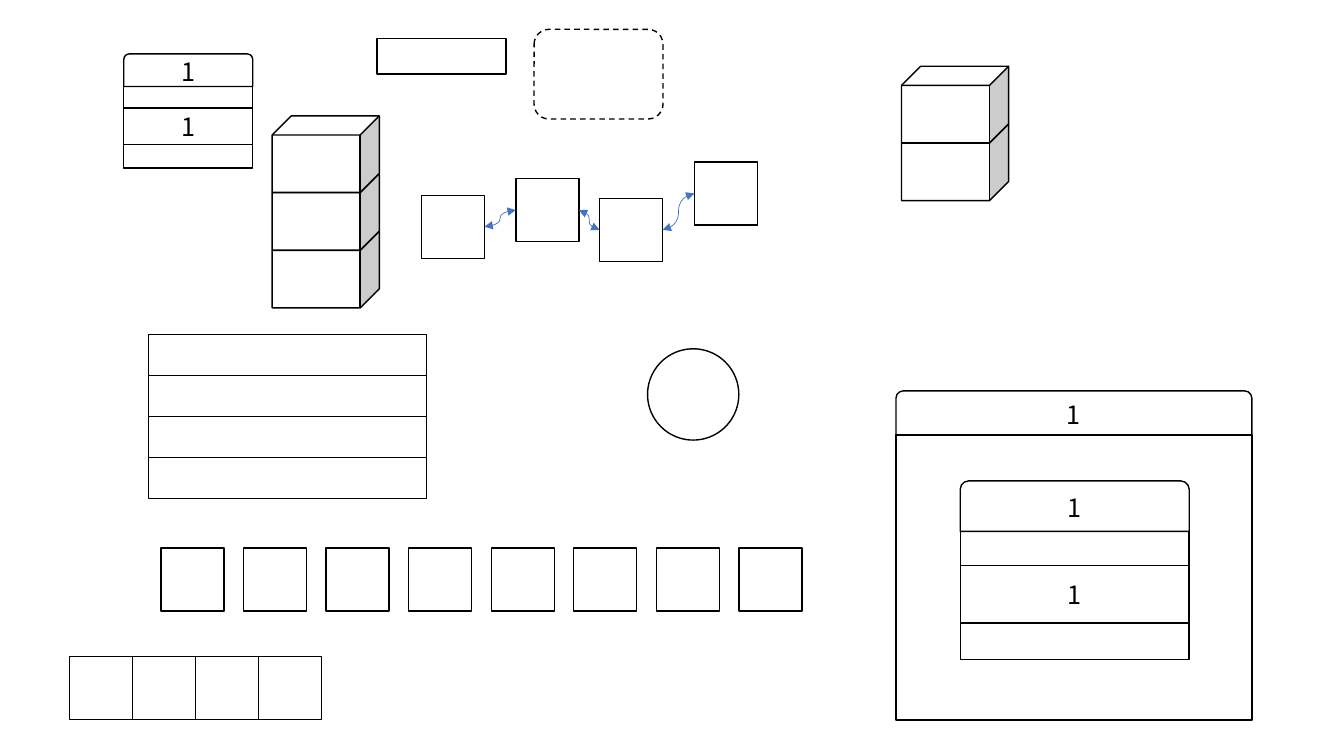
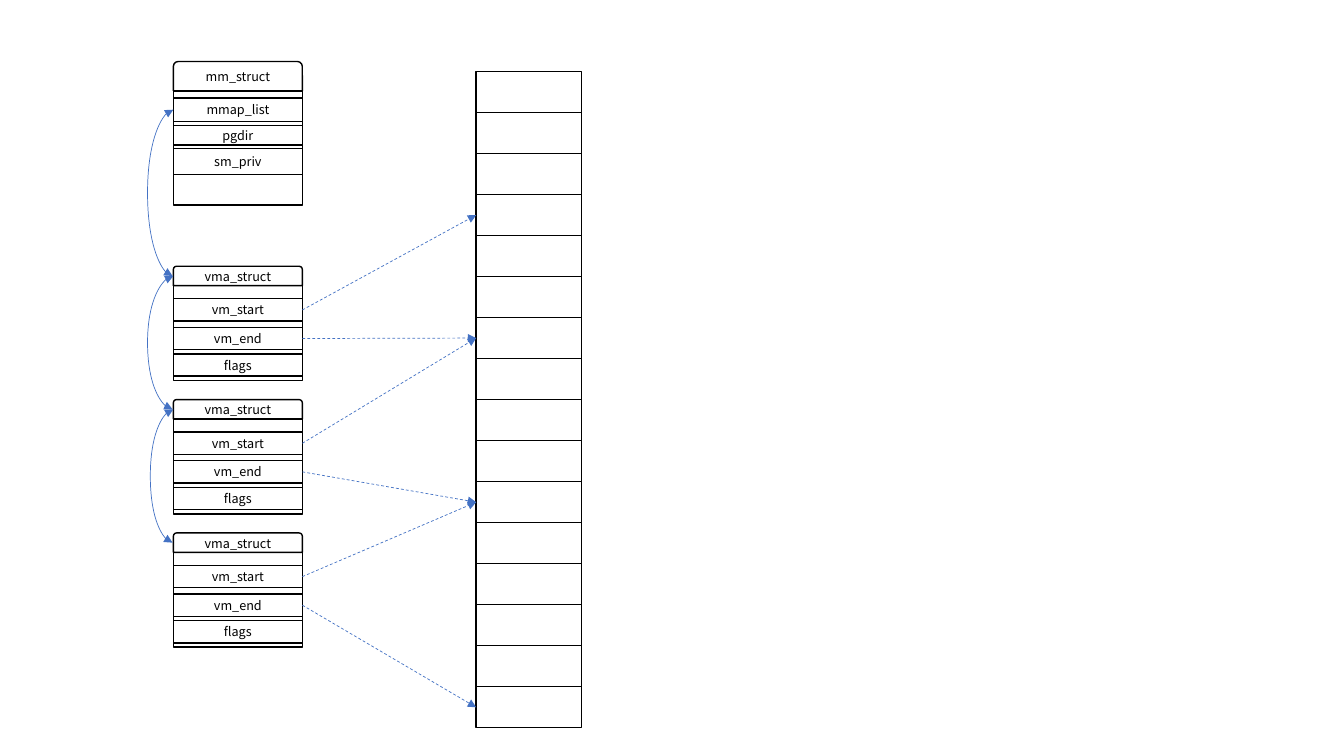
from dataclasses import dataclass

from lxml import etree
from pptx import Presentation
from pptx import util as u
from pptx.dml.color import RGBColor
from pptx.enum import dml, shapes, text
from pptx.oxml import ns

SHAPE = shapes.MSO_SHAPE
CONNECTOR = shapes.MSO_CONNECTOR


@dataclass(frozen=True)
class Theme:
    """Colours, font, type sizes and line widths shared by the slides."""
    ink: RGBColor = RGBColor(0, 0, 0)
    paper: RGBColor = RGBColor(255, 255, 255)
    accent: RGBColor = RGBColor(0x44, 0x72, 0xC4)
    font: str = "Noto Sans CJK SC"
    large: int = 18
    small: int = 9
    outline: float = 1
    link: float = 0.5


class Diagram:
    """Draws diagram elements, measured in centimetres, on the current slide."""

    def __init__(self, presentation, theme):
        self.presentation = presentation
        self.theme = theme
        self.slide = None

    def new_slide(self):
        """Add a blank slide and make it current."""
        self.slide = self.presentation.slides.add_slide(self.presentation.slide_layouts[6])

    def group(self):
        """Add an empty group and return its shapes."""
        return self.slide.shapes.add_group_shape().shapes

    def box(self, left, top, width, height, kind=SHAPE.RECTANGLE, parent=None,
            label="", size=None, filled=False, dashed=False):
        """Add an outlined shape with an optional centred label."""
        parent = self.slide.shapes if parent is None else parent
        shape = parent.add_shape(kind, u.Cm(left), u.Cm(top), u.Cm(width), u.Cm(height))
        shape.shadow.inherit = False
        if filled:
            shape.fill.solid()
            shape.fill.fore_color.rgb = self.theme.paper
        else:
            shape.fill.background()
        shape.line.color.rgb = self.theme.ink
        shape.line.width = u.Pt(self.theme.outline)
        if dashed:
            shape.line.dash_style = dml.MSO_LINE.DASH
        if label:
            self.label(shape.text_frame, label, size)
        return shape

    def label(self, frame, words, size):
        """Write one centred run in a text frame."""
        frame.vertical_anchor = text.MSO_ANCHOR.MIDDLE
        paragraph = frame.paragraphs[0]
        paragraph.alignment = text.PP_ALIGN.CENTER
        run = paragraph.add_run()
        run.text = words
        run.font.name = self.theme.font
        run.font.size = u.Pt(size)
        run.font.color.rgb = self.theme.ink

    def stack(self, left, top, width, height, count):
        """Divide a column into equal cells and return their vertical centres."""
        cells = self.group()
        step = height / count
        for index in range(count):
            self.box(left, top + index * step, width, step, parent=cells)
        return [top + (index + 0.5) * step for index in range(count)]

    def row(self, left, top, side, pitch, count):
        """Add a row of equal squares."""
        squares = self.group()
        for index in range(count):
            self.box(left + index * pitch, top, side, side, parent=squares)

    def cubes(self, left, top, count, width=2.7, height=1.93, pitch=1.455):
        """Pile up cubes, the lowest at the back."""
        pile = self.group()
        for index in reversed(range(count)):
            self.box(left, top + index * pitch, width, height, SHAPE.CUBE, pile, filled=True)

    def struct(self, left, top, width, header, body, title, fields, size):
        """Add a titled record and return the centres of its header and fields."""
        record = self.group()
        body_top = top + header
        self.box(left, body_top, width, body, parent=record)
        self.box(left, top, width, header, SHAPE.ROUND_2_SAME_RECTANGLE, record, title, size)
        centres = [top + header / 2]
        for name, offset, height in fields:
            self.box(left, body_top + offset, width, height, parent=record, label=name, size=size)
            centres.append(body_top + offset + height / 2)
        return centres

    def link(self, start, end, kind=CONNECTOR.STRAIGHT, both=False, dashed=False):
        """Connect two points with an arrow."""
        points = [u.Cm(value) for value in (*start, *end)]
        connector = self.slide.shapes.add_connector(kind, *points)
        connector.line.color.rgb = self.theme.accent
        connector.line.width = u.Pt(self.theme.link)
        if dashed:
            connector.line.dash_style = dml.MSO_LINE.DASH
        line = connector.line._get_or_add_ln()
        for end_name in ("a:headEnd", "a:tailEnd") if both else ("a:tailEnd",):
            etree.SubElement(line, ns.qn(end_name), type="triangle")
        etree.SubElement(connector._element.spPr, ns.qn("a:effectLst"))
        return connector

    def side_link(self, x, start, end, bulge, width=0.02):
        """Connect two points on a left edge with a curve bulging outwards."""
        connector = self.link((x, start), (x - width, end), CONNECTOR.CURVE, both=True)
        geometry = connector._element.spPr.find(ns.qn("a:prstGeom"))
        guides = geometry.find(ns.qn("a:avLst"))
        if guides is None:
            guides = etree.SubElement(geometry, ns.qn("a:avLst"))
        ratio = round(bulge / width * 100000)
        etree.SubElement(guides, ns.qn("a:gd"), name="adj1", fmla=f"val {ratio}")


def draw_parts(diagram):
    """Draw the slide of building blocks."""
    large = diagram.theme.large
    side = 1.59
    diagram.new_slide()
    diagram.box(13.46, 0.74, 3.25, 2.26, SHAPE.ROUNDED_RECTANGLE, filled=True, dashed=True)
    diagram.stack(3.75, 8.43, 7, 4.14, 4)
    diagram.box(9.5, 0.97, 3.25, 0.9)
    diagram.struct(3.12, 1.36, 3.25, 0.82, 2.06, "1", [("1", 0.54, 0.93)], large)
    diagram.struct(22.58, 9.85, 8.97, 1.11, 7.18, "1", [], large)
    diagram.struct(24.2, 12.12, 5.77, 1.27, 3.23, "1", [("1", 0.86, 1.45)], large)
    diagram.row(4.06, 13.81, side, 2.08, 8)
    diagram.row(1.75, 16.54, side, side, 4)

    nodes = [(10.62, 4.92), (13, 4.5), (15.11, 5), (17.5, 4.08)]
    for left, top in nodes:
        diagram.box(left, top, side, side)
    for (left, top), (next_left, next_top) in zip(nodes, nodes[1:]):
        diagram.link((left + side, top + side / 2), (next_left, next_top + side / 2),
                     CONNECTOR.CURVE, both=True)

    diagram.cubes(22.72, 1.67, 2)
    diagram.cubes(6.86, 2.92, 3)
    diagram.box(16.32, 8.79, 2.3, 2.3, SHAPE.OVAL)


def draw_memory_map(diagram):
    """Draw the memory structures and the address column they point into."""
    small = diagram.theme.small
    left, width, column_left = 4.37, 3.25, 12
    diagram.new_slide()
    cells = diagram.stack(column_left, 1.8, 2.65, 16.54, 16)

    mm_fields = [("mmap_list", 0.18, 0.59), ("pgdir", 0.88, 0.49), ("sm_priv", 1.45, 0.66)]
    mm_centres = diagram.struct(left, 1.55, width, 0.74, 2.88, "mm_struct", mm_fields, small)
    chain = [mm_centres[1]]

    vma_fields = [("vm_start", 0.33, 0.56), ("vm_end", 1.05, 0.56), ("flags", 1.72, 0.56)]
    for index, (first, last) in enumerate([(3, 6), (6, 10), (10, 15)]):
        header, start, end, _ = diagram.struct(
            left, 6.71 + index * 3.36, width, 0.49, 2.39, "vma_struct", vma_fields, small)
        chain.append(header)
        for y, cell in ((start, first), (end, last)):
            diagram.link((left + width, y), (column_left, cells[cell]), dashed=True)

    for start, end, bulge in zip(chain, chain[1:], (0.65, 0.65, 0.58)):
        diagram.side_link(left, start, end, bulge)


def main():
    """Build and save the presentation."""
    presentation = Presentation()
    presentation.slide_width = u.Cm(33.87)
    presentation.slide_height = u.Cm(19.05)
    diagram = Diagram(presentation, Theme())
    draw_parts(diagram)
    draw_memory_map(diagram)
    presentation.save("out.pptx")


main()
